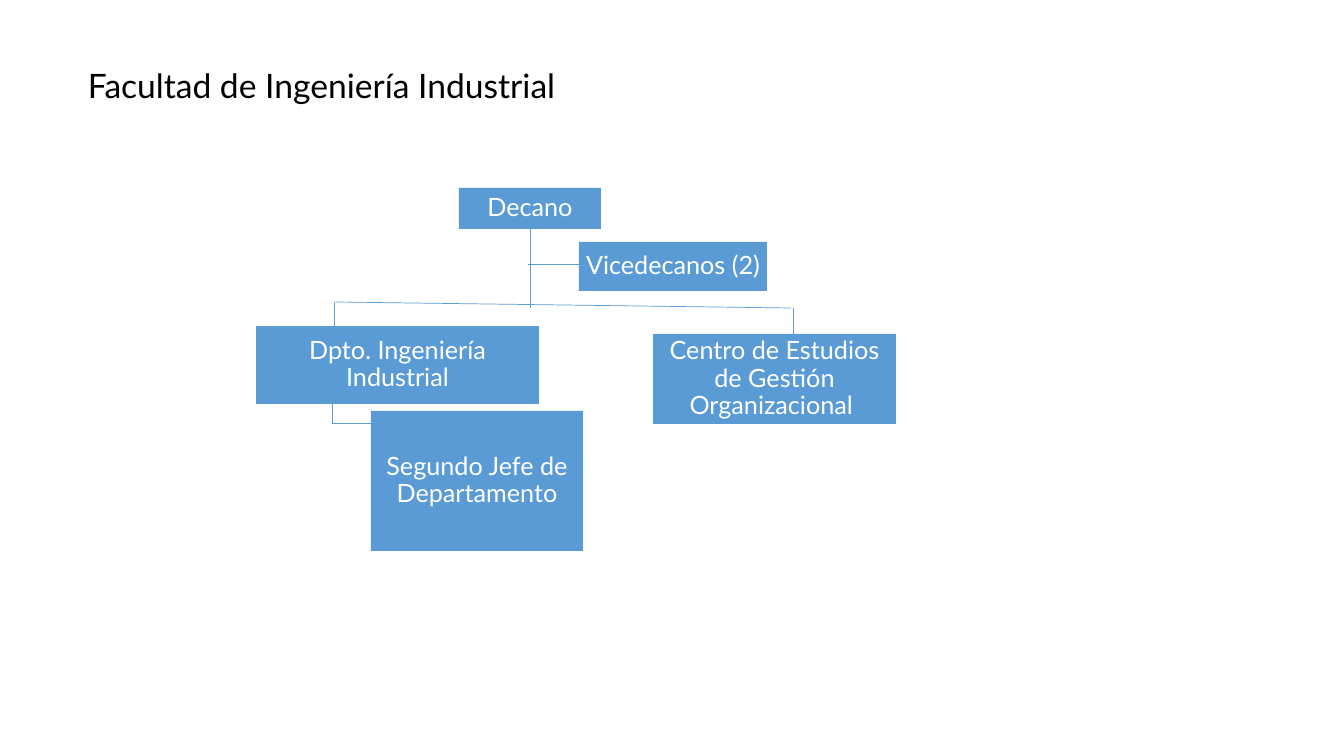
import pptx
import pptx.util
import pptx.dml.color
import pptx.enum.shapes
import pptx.enum.text
import pptx.oxml.ns
import lxml.etree

PX = 12192000 / 1344
BLUE = "5B9BD5"


def color(code):
    return pptx.dml.color.RGBColor.from_string(code)


def write(shape, text, size=18, ink="FFFFFF", align="CENTER", anchor="MIDDLE",
          space=0.9, inset=1, wrap=True):
    frame = shape.text_frame
    frame.word_wrap = wrap
    frame.vertical_anchor = getattr(pptx.enum.text.MSO_ANCHOR, anchor)
    if inset is not None:
        frame.margin_left = frame.margin_right = round(inset * PX)
        frame.margin_top = frame.margin_bottom = round(inset * PX)
    para = frame.paragraphs[0]
    para.alignment = getattr(pptx.enum.text.PP_ALIGN, align)
    para.line_spacing = space
    run = para.add_run()
    run.text = text
    run.font.name = "Lato"
    run.font.size = pptx.util.Pt(size)
    run.font.color.rgb = color(ink)


deck = pptx.Presentation()
deck.slide_width = round(1344 * PX)
deck.slide_height = round(756 * PX)
slide = deck.slides.add_slide(deck.slide_layouts[6])
shapes = slide.shapes

# Title
title = shapes.add_textbox(*[round(n * PX) for n in (78, 60, 505, 50)])
write(title, "Facultad de Ingeniería Industrial", size=24, ink="000000",
      align="LEFT", anchor="TOP", space=1.0, inset=None, wrap=False)
title.text_frame.auto_size = pptx.enum.text.MSO_AUTO_SIZE.SHAPE_TO_FIT_TEXT

# Posts: left, top, width, height
posts = [
    ("Decano", 459, 188, 142, 41),
    ("Dpto. Ingeniería Industrial", 256, 326, 283, 78),
    ("Segundo Jefe de Departamento", 371, 411, 212, 140),
    ("Vicedecanos (2)", 579, 242, 188, 49),
    ("Centro de Estudios de Gestión Organizacional ", 653, 334, 243, 90),
]
for name, *place in posts:
    box = shapes.add_shape(pptx.enum.shapes.MSO_SHAPE.RECTANGLE,
                           *[round(n * PX) for n in place])
    box.shadow.inherit = False
    box.fill.solid()
    box.fill.fore_color.rgb = color(BLUE)
    box.line.fill.background()
    write(box, name)

# Links: from x, y to x, y
links = [
    (530, 308, 530, 229),  # down from the dean
    (528, 264, 579, 264),  # vice deans
    (334, 302, 791, 308),  # branch line
    (334, 331, 334, 303),  # department
    (793, 334, 793, 308),  # study centre
    (332, 403, 332, 423),  # second head, down
    (332, 423, 371, 423),  # second head, across
]
for ends in links:
    link = shapes.add_connector(pptx.enum.shapes.MSO_CONNECTOR.STRAIGHT,
                                *[round(n * PX) for n in ends])
    link.line.color.rgb = color(BLUE)
    link.line.width = pptx.util.Pt(0.5)
    lxml.etree.SubElement(link._element.spPr, pptx.oxml.ns.qn("a:effectLst"))

deck.save("out.pptx")
